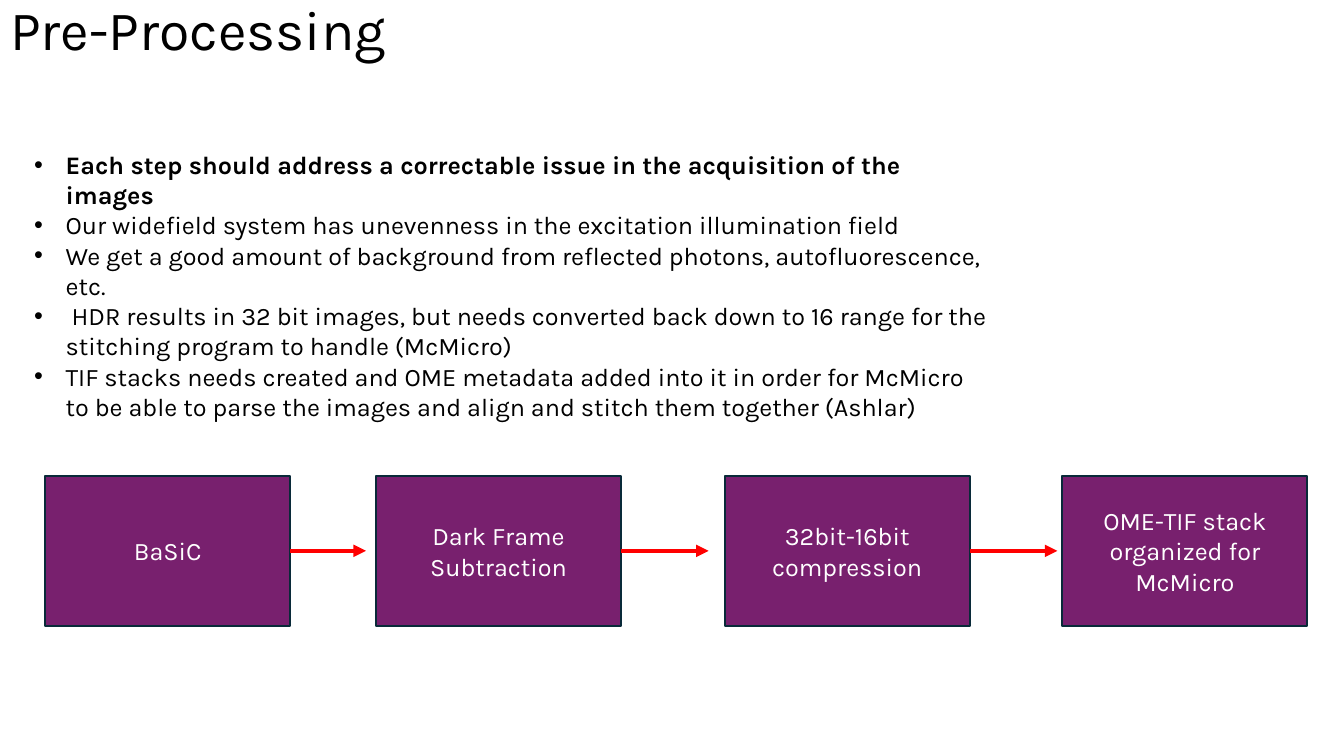
from dataclasses import dataclass

from lxml import etree
from pptx import Presentation
from pptx.dml.color import RGBColor
from pptx.enum.shapes import MSO_CONNECTOR, MSO_SHAPE
from pptx.enum.text import MSO_ANCHOR, MSO_AUTO_SIZE, PP_ALIGN
from pptx.oxml.ns import qn
from pptx.util import Pt

RECT = MSO_SHAPE.RECTANGLE
STRAIGHT = MSO_CONNECTOR.STRAIGHT
MIDDLE = MSO_ANCHOR.MIDDLE
LEFT, CENTER = PP_ALIGN.LEFT, PP_ALIGN.CENTER
NO_FIT, GROW = MSO_AUTO_SIZE.NONE, MSO_AUTO_SIZE.SHAPE_TO_FIT_TEXT
TITLE_ONLY = 5


@dataclass(frozen=True)
class Theme:
    font: str = "Karla"
    title_size: float = 39.6
    body_size: float = 18
    text: str = "000000"
    box_text: str = "FFFFFF"
    box_fill: str = "78206E"
    box_line: str = "092A39"
    arrow: str = "FF0000"


THEME = Theme()

BULLETS = [
    "Each step should address a correctable issue in the acquisition of the images",
    "Our widefield system has unevenness in the excitation illumination field",
    "We get a good amount of background from reflected photons, autofluorescence, etc.",
    " HDR results in 32 bit images, but needs converted back down to 16 range "
    "for the stitching program to handle (McMicro)",
    "TIF stacks needs created and OME metadata added into it in order for McMicro "
    "to be able to parse the images and align and stitch them together (Ashlar)",
]

# Each step: label, left edge, gap between the arrow tip and the next box
STEPS = [
    ("BaSiC", 32.4, 7.2),
    ("Dark Frame Subtraction", 268.6, 11.5),
    ("32bit-16bit compression", 517.7, 3.6),
    ("OME-TIF stack organized for McMicro", 758.9, 0),
]
BOX_TOP, BOX_W, BOX_H = 339.8, 175, 107.3
INDENT = 22.5


def write(p, text, size=THEME.body_size, color=THEME.text, bold=False, align=LEFT):
    p.alignment = align
    r = p.add_run()
    r.text = text
    r.font.name = THEME.font
    r.font.size = Pt(size)
    r.font.bold = bold
    r.font.color.rgb = RGBColor.from_string(color)


def add_bullet(p):
    pPr = p._p.get_or_add_pPr()
    pPr.set("marL", str(Pt(INDENT)))
    pPr.set("indent", str(-Pt(INDENT)))
    etree.SubElement(pPr, qn("a:buFont")).set("typeface", "Arial")
    etree.SubElement(pPr, qn("a:buChar")).set("char", "•")


def set_title(s, text):
    sp = s.shapes.title
    sp.left, sp.top, sp.width, sp.height = Pt(0), Pt(0), Pt(828), Pt(46.8)
    tf = sp.text_frame
    tf.auto_size = NO_FIT
    tf.vertical_anchor = MIDDLE
    p = tf.paragraphs[0]
    p.line_spacing = 0.9
    write(p, text, size=THEME.title_size)


def add_bullets(s, items, x, y, w, h):
    tf = s.shapes.add_textbox(Pt(x), Pt(y), Pt(w), Pt(h)).text_frame
    tf.word_wrap = True
    tf.auto_size = GROW
    for i, text in enumerate(items):
        p = tf.add_paragraph() if i else tf.paragraphs[0]
        add_bullet(p)
        write(p, text, bold=i == 0)


def add_box(s, text, x):
    sp = s.shapes.add_shape(RECT, Pt(x), Pt(BOX_TOP), Pt(BOX_W), Pt(BOX_H))
    sp.shadow.inherit = False
    sp.fill.solid()
    sp.fill.fore_color.rgb = RGBColor.from_string(THEME.box_fill)
    sp.line.color.rgb = RGBColor.from_string(THEME.box_line)
    sp.line.width = Pt(1.5)
    tf = sp.text_frame
    tf.word_wrap = True
    tf.vertical_anchor = MIDDLE
    write(tf.paragraphs[0], text, color=THEME.box_text, align=CENTER)


def add_arrow(s, x1, x2):
    y = Pt(BOX_TOP + BOX_H / 2)
    line = s.shapes.add_connector(STRAIGHT, Pt(x1), y, Pt(x2), y)
    line.line.color.rgb = RGBColor.from_string(THEME.arrow)
    line.line.width = Pt(3)
    etree.SubElement(line.line._get_or_add_ln(), qn("a:tailEnd")).set("type", "triangle")
    etree.SubElement(line._element.spPr, qn("a:effectLst"))


def main():
    prs = Presentation()
    prs.slide_width, prs.slide_height = Pt(960), Pt(540)
    s = prs.slides.add_slide(prs.slide_layouts[TITLE_ONLY])

    # Heading and notes on each step
    set_title(s, "Pre-Processing")
    add_bullets(s, BULLETS, 17.3, 103, 697, 181.4)

    # Pipeline boxes
    for label, x, _ in STEPS:
        add_box(s, label, x)

    # Arrows from each box towards the next
    for (_, x, gap), (_, next_x, _) in zip(STEPS, STEPS[1:]):
        add_arrow(s, x + BOX_W, next_x - gap)

    prs.save("out.pptx")


if __name__ == "__main__":
    main()
